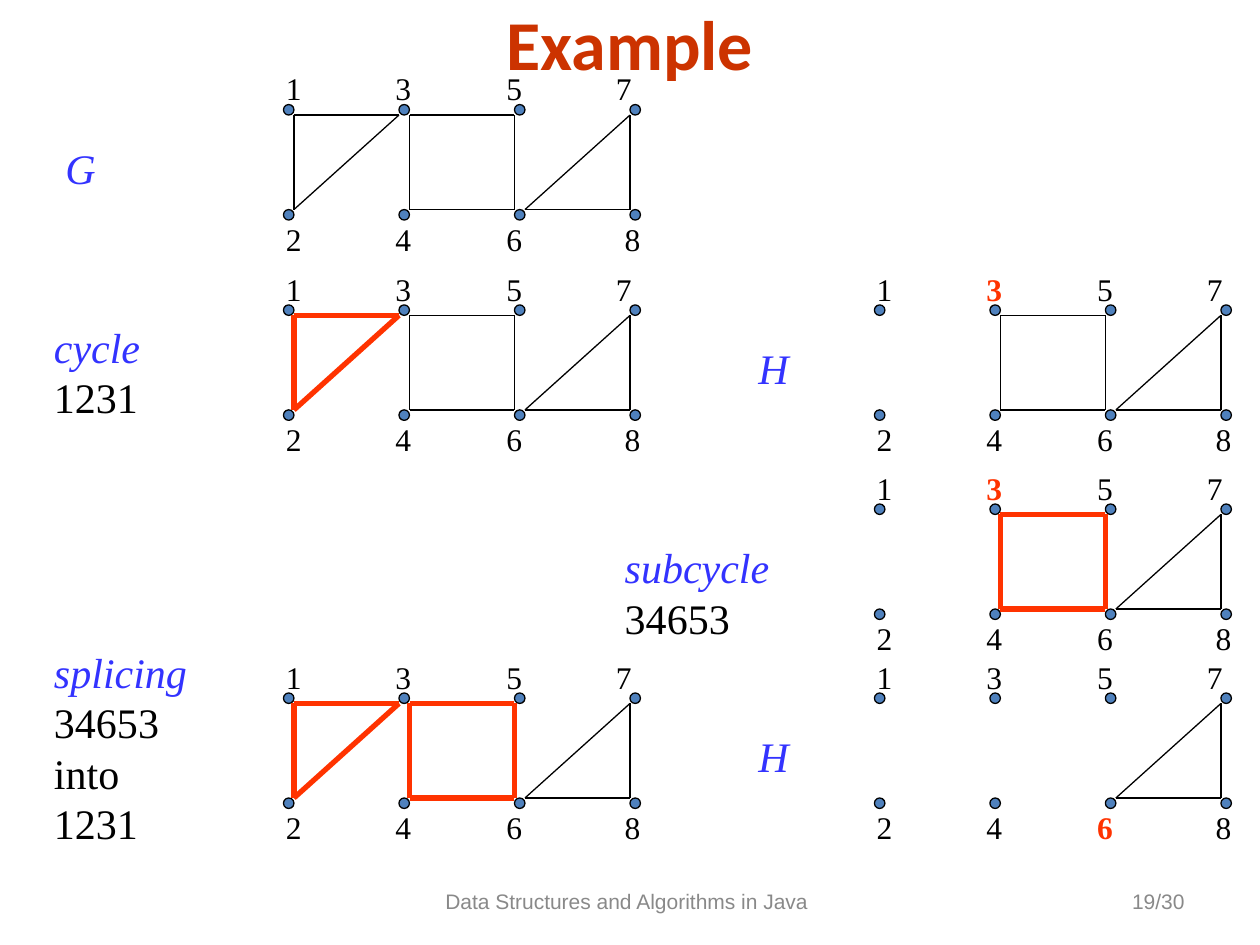
from lxml.etree import SubElement
from pptx import Presentation
from pptx.dml.color import RGBColor
from pptx.enum.shapes import MSO_CONNECTOR as Connector, MSO_SHAPE as Shape
from pptx.enum.text import MSO_ANCHOR as Anchor, PP_ALIGN as Align
from pptx.oxml.ns import qn
from pptx.util import Inches, Pt

SERIF = "Times New Roman"
BLACK, BLUE, RED, GREY = "000000", "3333FF", "FF3300", "898989"
DOT, PITCH, DROP = 1 / 12, 11 / 12, 10 / 12
CYCLES = [(1, 2, 3), (3, 4, 6, 5), (6, 8, 7)]
LABEL_ROWS = [("1357", (0.87, 1.75, 2.62)), ("2468", (0.87, 1.75, 2.69))]


def color(value):
    """Return the colour for a hex string."""
    return RGBColor.from_string(value)


def style(font, size, name, value, bold=False, italic=False):
    """Set the look of a font."""
    font.size, font.name = Pt(size), name
    font.bold, font.italic = bold, italic
    font.color.rgb = color(value)


def add_frame(shapes, left, top, width, height, wrap=True):
    """Add a text box and return its text frame."""
    box = shapes.add_textbox(Inches(left), Inches(top), Inches(width), Inches(height))
    box.text_frame.word_wrap = wrap
    return box.text_frame


def add_caption(shapes, left, top, width, height, heading, *details, wrap=False):
    """Add a blue italic heading with black lines below it."""
    frame = add_frame(shapes, left, top, width, height, wrap)
    frame.text = "\n".join((heading, *details))
    for index, paragraph in enumerate(frame.paragraphs):
        first = index == 0
        style(paragraph.runs[0].font, 24, SERIF, BLUE if first else BLACK, italic=first)


def add_footer(shapes, left, width, text, align):
    """Add a grey line of text at the foot of the slide."""
    frame = add_frame(shapes, left, 6.95, width, 0.4)
    frame.vertical_anchor = Anchor.MIDDLE
    frame.text = text
    paragraph = frame.paragraphs[0]
    paragraph.alignment = align
    style(paragraph.runs[0].font, 12, "Arial", GREY)


def add_edge(shapes, start, end, value, width):
    """Add a straight line between two points."""
    edge = shapes.add_connector(Connector.STRAIGHT, *map(Inches, (*start, *end)))
    edge.line.color.rgb = color(value)
    edge.line.width = Pt(width)
    SubElement(edge._element.spPr, qn("a:effectLst"))


def add_vertex(shapes, left, top):
    """Add the dot of one vertex."""
    vertex = shapes.add_shape(
        Shape.OVAL, Inches(left), Inches(top), Inches(DOT), Inches(DOT)
    )
    vertex.shadow.inherit = False
    vertex.fill.solid()
    vertex.fill.fore_color.rgb = color("4F81BD")
    vertex.line.color.rgb = color(BLACK)
    vertex.line.width = Pt(0.75)


def add_cycle(shapes, left, top, cell, value, width):
    """Draw the closed cycle that lies in one cell of the graph."""
    corners = []
    for number in CYCLES[cell]:
        column, row = divmod(number - 1, 2)
        inset = DOT if column == cell else 0
        corners.append((left + column * PITCH + inset, top + (DROP if row else DOT)))
    for start, end in zip(corners, corners[1:] + corners[:1]):
        add_edge(shapes, start, end, value, width)


def add_labels(shapes, left, top, hot):
    """Number the vertices on tab stops, with the hot one in bold red."""
    frame = add_frame(shapes, left, top, 3.14, 1.6)
    for index, (digits, stops) in enumerate(LABEL_ROWS):
        paragraph = frame.add_paragraph() if index else frame.paragraphs[0]
        tabs = SubElement(paragraph._p.get_or_add_pPr(), qn("a:tabLst"))
        for stop in stops:
            SubElement(tabs, qn("a:tab"), pos=str(Inches(stop)), algn="l")
        if index:
            paragraph.space_before = Pt(64.5)
        for place, digit in enumerate(digits):
            run = paragraph.add_run()
            run.text = f"\t{digit}" if place else digit
            is_hot = digit == hot
            style(run.font, 18, SERIF, RED if is_hot else BLACK, bold=is_hot)


def add_graph(shapes, left, top, plain, marked=(), hot=None):
    """Draw the eight vertices with plain and marked cycles."""
    for column in range(4):
        for row in range(2):
            add_vertex(shapes, left + column * PITCH, top + row * DROP)
    for cell in plain:
        add_cycle(shapes, left, top, cell, BLACK, 0.75)
    for cell in marked:
        add_cycle(shapes, left, top, cell, RED, 3)
    add_labels(shapes, left - 0.08, top - 0.33, hot)


def add_title(slide, text):
    """Place and format the slide title."""
    title = slide.shapes.title
    title.left, title.top = Inches(0.75), Inches(0)
    title.width, title.height = Inches(8.5), Inches(0.67)
    frame = title.text_frame
    frame.text = text
    frame.vertical_anchor = Anchor.MIDDLE
    frame.paragraphs[0].alignment = Align.CENTER
    style(frame.paragraphs[0].runs[0].font, 40, "Calibri", "CC3300", bold=True)


def main():
    """Build the slide and save it."""
    deck = Presentation()
    deck.slide_width, deck.slide_height = Inches(10), Inches(7.5)
    slide = deck.slides.add_slide(deck.slide_layouts[5])
    shapes = slide.shapes
    add_title(slide, "Example")
    add_footer(shapes, 3.14, 3.67, "Data Structures and Algorithms in Java", Align.CENTER)
    add_footer(shapes, 7.17, 2.33, "19/30", Align.RIGHT)

    graph_left, rest_left = 2.25, 6.94
    add_caption(shapes, 0.42, 1.08, 0.44, 0.5, "G")
    add_graph(shapes, graph_left, 0.83, (0, 1, 2))

    add_caption(shapes, 0.33, 2.5, 0.95, 0.9, "cycle", "1231")
    add_graph(shapes, graph_left, 2.42, (0, 1, 2), marked=(0,))
    add_caption(shapes, 5.92, 2.67, 0.44, 0.5, "H")
    add_graph(shapes, rest_left, 2.42, (1, 2), hot="3")

    subcycle = shapes.add_group_shape().shapes
    add_caption(subcycle, 4.86, 4.25, 1.35, 0.9, "subcycle", "34653")
    add_graph(subcycle, rest_left, 4, (1, 2), marked=(1,), hot="3")

    add_caption(shapes, 0.33, 5.08, 1.58, 1.7, "splicing", "34653 into", "1231", wrap=True)
    add_graph(shapes, graph_left, 5.5, (0, 2), marked=(1, 0))
    add_caption(shapes, 5.92, 5.75, 0.44, 0.5, "H")
    add_graph(shapes, rest_left, 5.5, (2,), hot="6")
    deck.save("out.pptx")


if __name__ == "__main__":
    main()
